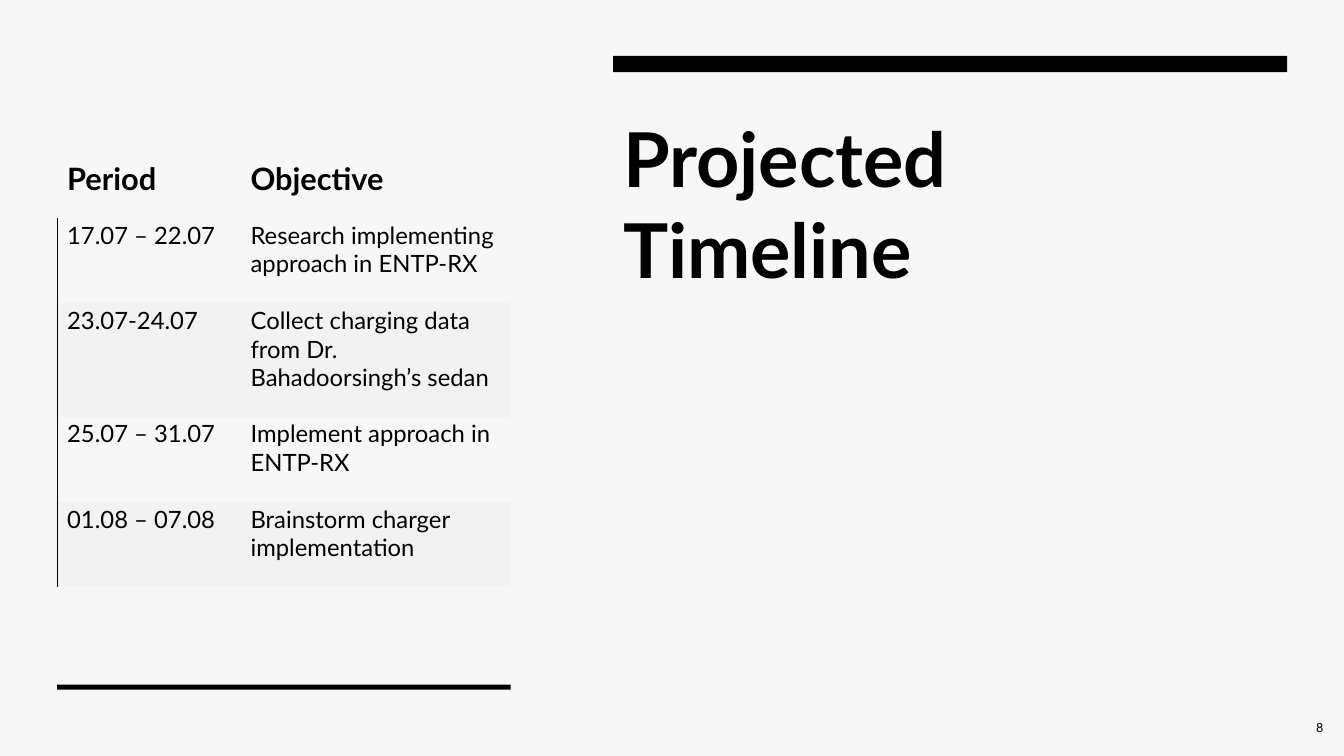
"""Build the projected timeline slide with its table of periods and objectives."""
from lxml.etree import SubElement
from pptx import Presentation
from pptx.dml.color import RGBColor
from pptx.enum.shapes import MSO_SHAPE
from pptx.enum.text import MSO_ANCHOR, PP_ALIGN
from pptx.oxml.ns import qn
from pptx.util import Pt

COLORS = {"background": "F7F7F7", "ink": "000000", "band": "F2F2F2"}
FONT = "Lato"
NO_STYLE_NO_GRID = "{2D5ABB26-0587-4C30-8999-92F81FD0307C}"


def add_text(paragraph, text, size, bold=False):
    run = paragraph.add_run()
    run.text = text
    run.font.name = FONT
    run.font.size = Pt(size)
    run.font.bold = bold
    run.font.color.rgb = RGBColor.from_string(COLORS["ink"])


def add_text_box(left, top, width, height, anchor):
    frame = slide.shapes.add_textbox(Pt(left), Pt(top), Pt(width), Pt(height)).text_frame
    frame.word_wrap = True
    frame.vertical_anchor = anchor
    return frame.paragraphs[0]


presentation = Presentation()
presentation.slide_width = Pt(960)
presentation.slide_height = Pt(540)
slide = presentation.slides.add_slide(presentation.slide_layouts[6])
slide.background.fill.solid()
slide.background.fill.fore_color.rgb = RGBColor.from_string(COLORS["background"])

title = add_text_box(438, 76.3, 440, 184, MSO_ANCHOR.TOP)
add_text(title, "Projected Timeline", 54, bold=True)

bars = [(438, 40, 481.5, 11.5), (40.8, 489, 324, 3.6)]
for left, top, width, height in bars:
    bar = slide.shapes.add_shape(MSO_SHAPE.RECTANGLE, Pt(left), Pt(top), Pt(width), Pt(height))
    bar.shadow.inherit = False
    bar.fill.solid()
    bar.fill.fore_color.rgb = RGBColor.from_string(COLORS["ink"])
    bar.line.fill.background()

timeline = [
    ("Period", "Objective"),
    ("17.07 – 22.07", "Research implementing approach in ENTP-RX"),
    ("23.07-24.07", "Collect charging data from Dr. Bahadoorsingh’s sedan"),
    ("25.07 – 31.07", "Implement approach in ENTP-RX"),
    ("01.08 – 07.08", "Brainstorm charger implementation"),
]
column_widths = [131, 193]
row_heights = [47.6, 61, 81, 61, 61]

table_frame = slide.shapes.add_table(
    len(timeline), 2, Pt(40.8), Pt(108), Pt(sum(column_widths)), Pt(sum(row_heights))
)
table = table_frame.table
table.first_row = False
table.horz_banding = False
table_frame._element.find(".//" + qn("a:tableStyleId")).text = NO_STYLE_NO_GRID
for column, width in zip(table.columns, column_widths):
    column.width = Pt(width)

for row_index, texts in enumerate(timeline):
    is_header = row_index == 0
    table.rows[row_index].height = Pt(row_heights[row_index])
    for column_index, text in enumerate(texts):
        cell = table.cell(row_index, column_index)
        cell.margin_left = Pt(7.2)
        cell.margin_top = Pt(2)
        cell.margin_right = Pt(10)
        cell.margin_bottom = Pt(15)
        cell.vertical_anchor = MSO_ANCHOR.BOTTOM if is_header else MSO_ANCHOR.TOP
        add_text(cell.text_frame.paragraphs[0], text, 22 if is_header else 17, is_header)
        if column_index == 0 and not is_header:
            border = SubElement(cell._tc.get_or_add_tcPr(), qn("a:lnL"), w=str(Pt(0.75)))
            border_fill = SubElement(border, qn("a:solidFill"))
            SubElement(border_fill, qn("a:srgbClr"), val=COLORS["ink"])
        if row_index in (2, 4):
            cell.fill.solid()
            cell.fill.fore_color.rgb = RGBColor.from_string(COLORS["band"])
        else:
            cell.fill.background()

page_number = add_text_box(902, 505.5, 50.4, 28.8, MSO_ANCHOR.MIDDLE)
page_number.alignment = PP_ALIGN.RIGHT
add_text(page_number, "8", 9)

presentation.save("out.pptx")
